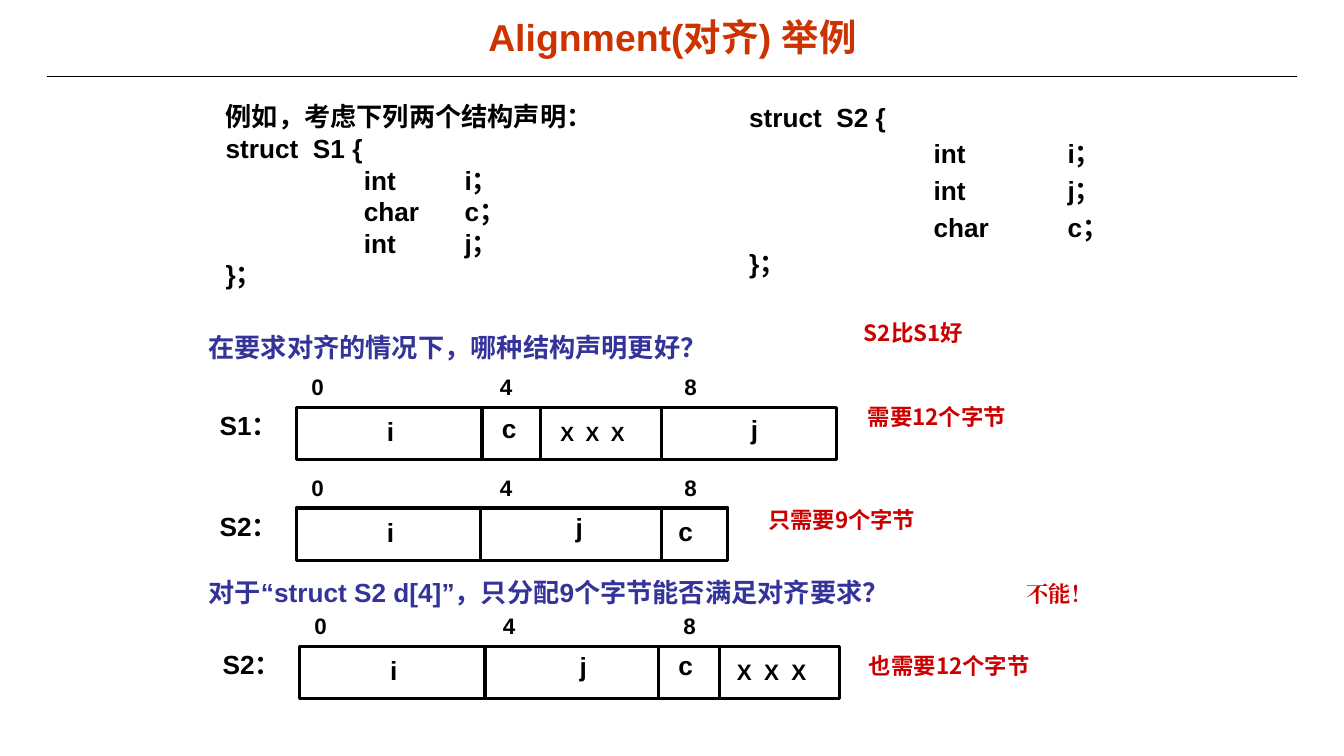
import pptx
import pptx.enum.shapes
import pptx.enum.text
import pptx.dml.color
import pptx.oxml
import pptx.oxml.ns
import pptx.util
from lxml import etree

Inches = pptx.util.Inches
Pt = pptx.util.Pt
qn = pptx.oxml.ns.qn

COLORS = {
    "ink": "000000",
    "title": "CC3300",
    "question": "333399",
    "answer": "CC0000",
}
ANSWER_FONT = "Noto Sans CJK SC"

S1_CODE = [
    "例如，考虑下列两个结构声明：",
    "struct  S1 {",
    "\t\tint \ti；",
    "\t\tchar\tc；",
    "\t\tint\tj；",
    "}；",
]
S2_CODE = [
    "struct  S2 {",
    "\t\tint \ti；",
    "\t\tint\tj；",
    "\t\tchar\tc；",
    "}；",
]

# Field entries are (text, x, y, width, size), measured from the layout's corner.
LAYOUTS = [
    {"name": "S1：", "corner": (2.94, 4.04), "width": 5.36,
     "dividers": [1.84, 2.42, 3.62], "last_tick": 3.75,
     "fields": [("i", 0.8, 0.03, 0.66, 18.7), ("c", 1.94, 0, 0.66, 18.7),
                ("X  X  X", 2.52, 0.09, 1.41, 14.7), ("j", 4.41, 0.01, 0.66, 18.7)]},
    {"name": "S2：", "corner": (2.94, 5.04), "width": 4.28,
     "dividers": [1.83, 3.62], "last_tick": 3.75,
     "fields": [("i", 0.8, 0.03, 0.66, 18.7), ("j", 2.67, -0.02, 0.66, 18.7),
                ("c", 3.69, 0.02, 0.66, 18.7)]},
    {"name": "S2：", "corner": (2.97, 6.41), "width": 5.36,
     "dividers": [1.84, 3.56, 4.17], "last_tick": 3.71,
     "fields": [("i", 0.8, 0.03, 0.66, 18.7), ("j", 2.68, -0.01, 0.66, 18.7),
                ("c", 3.66, -0.02, 0.66, 18.7), ("X  X  X", 4.24, 0.07, 1.22, 16)]},
]
CELL_HEIGHT = 0.52


def rgb(name):
    return pptx.dml.color.RGBColor.from_string(COLORS[name])


def add_bold_run(paragraph, text, size, color, font_name):
    run = paragraph.add_run()
    run.text = text
    font = run.font
    font.size = Pt(size)
    font.bold = True
    font.name = font_name
    font.color.rgb = rgb(color)
    east_asian = etree.SubElement(font._element, qn("a:ea"))
    east_asian.set("typeface", font_name)


def add_frame(shapes, left, top, width, height):
    box = shapes.add_textbox(Inches(left), Inches(top), Inches(width), Inches(height))
    box.text_frame.word_wrap = True
    return box.text_frame


def add_label(shapes, text, left, top, width, size=18.7, color="ink", font_name="Arial"):
    height = 0.41 if size > 16 else 0.37
    frame = add_frame(shapes, left, top, width, height)
    add_bold_run(frame.paragraphs[0], text, size, color, font_name)


def add_title(shapes, text):
    frame = add_frame(shapes, 2.17, 0.06, 9, 0.61)
    frame.vertical_anchor = pptx.enum.text.MSO_ANCHOR.MIDDLE
    paragraph = frame.paragraphs[0]
    paragraph.alignment = pptx.enum.text.PP_ALIGN.CENTER
    add_bold_run(paragraph, text, 26.7, "title", "Arial")


def add_code(frame, lines, tab_stops, gap):
    """Write one paragraph per line, with tab stops in inches and a gap in points."""
    for index, line in enumerate(lines):
        paragraph = frame.paragraphs[0] if index == 0 else frame.add_paragraph()
        paragraph.line_spacing = Pt(22.5)
        paragraph.space_before = Pt(gap if index else 0)
        tab_list = etree.SubElement(paragraph._p.get_or_add_pPr(), qn("a:tabLst"))
        for stop in tab_stops:
            etree.SubElement(tab_list, qn("a:tab"), pos=str(Inches(stop)), algn="l")
        add_bold_run(paragraph, line, 18.7, "ink", "Arial")


def add_line(shapes, start, end, width):
    line = shapes.add_connector(
        pptx.enum.shapes.MSO_CONNECTOR.STRAIGHT,
        *(Inches(value) for value in (*start, *end)))
    line.line.color.rgb = rgb("ink")
    line.line.width = Pt(width)
    etree.SubElement(line._element.spPr, qn("a:effectLst"))


def add_memory_layout(slide, layout):
    """Draw a struct's bytes as a divided bar with its name and offsets."""
    shapes = slide.shapes.add_group_shape().shapes
    left, top = layout["corner"]
    bar = shapes.add_shape(
        pptx.enum.shapes.MSO_SHAPE.RECTANGLE,
        Inches(left), Inches(top), Inches(layout["width"]), Inches(CELL_HEIGHT))
    bar.shadow.inherit = False
    bar.fill.background()
    bar.line.color.rgb = rgb("ink")
    bar.line.width = Pt(2.25)

    add_label(shapes, layout["name"], left - 0.86, top - 0.03, 1.06)
    for offset in layout["dividers"]:
        add_line(shapes, (left + offset, top), (left + offset, top + CELL_HEIGHT), 2.25)
    for text, x, y, width, size in layout["fields"]:
        add_label(shapes, text, left + x, top + y, width, size)
    for text, x in zip("048", (0.05, 1.92, layout["last_tick"])):
        add_label(shapes, text, left + x, top - 0.39, 0.66, 16)


def main():
    presentation = pptx.Presentation()
    presentation.slide_width = Inches(13.33)
    presentation.slide_height = Inches(7.5)
    slide = presentation.slides.add_slide(presentation.slide_layouts[6])
    shapes = slide.shapes

    add_line(shapes, (0.47, 0.76), (12.86, 0.76), 0.75)
    add_title(shapes, "Alignment(对齐) 举例")

    add_code(add_frame(shapes, 2.14, 0.95, 5.07, 2.51), S1_CODE, (0.69, 1.37, 2.37), 0)
    s2_frame = add_frame(shapes, 7.36, 0.6, 4.04, 2.3)
    s2_frame.margin_left = s2_frame.margin_right = Inches(0.07)
    s2_frame.margin_top = Inches(0.4)
    add_code(s2_frame, S2_CODE, (0.5, 1.83, 3.16), 3.7)

    add_label(shapes, "在要求对齐的情况下，哪种结构声明更好？", 1.97, 3.24, 7.6, color="question")
    add_label(shapes, "对于“struct S2 d[4]”，只分配9个字节能否满足对齐要求？",
              1.97, 5.67, 8.38, color="question")

    for layout in LAYOUTS:
        add_memory_layout(slide, layout)

    for text, left, top, width, font_name in [
        ("S2比S1好", 8.47, 3.12, 1.7, ANSWER_FONT),
        ("需要12个字节", 8.51, 3.95, 2.21, ANSWER_FONT),
        ("只需要9个字节", 7.52, 4.97, 2.16, ANSWER_FONT),
        ("不能！", 10.08, 5.71, 1.32, "Times New Roman"),
        ("也需要12个字节", 8.52, 6.42, 2.51, ANSWER_FONT),
    ]:
        add_label(shapes, text, left, top, width, 16, "answer", font_name)

    presentation.save("out.pptx")


if __name__ == "__main__":
    main()
